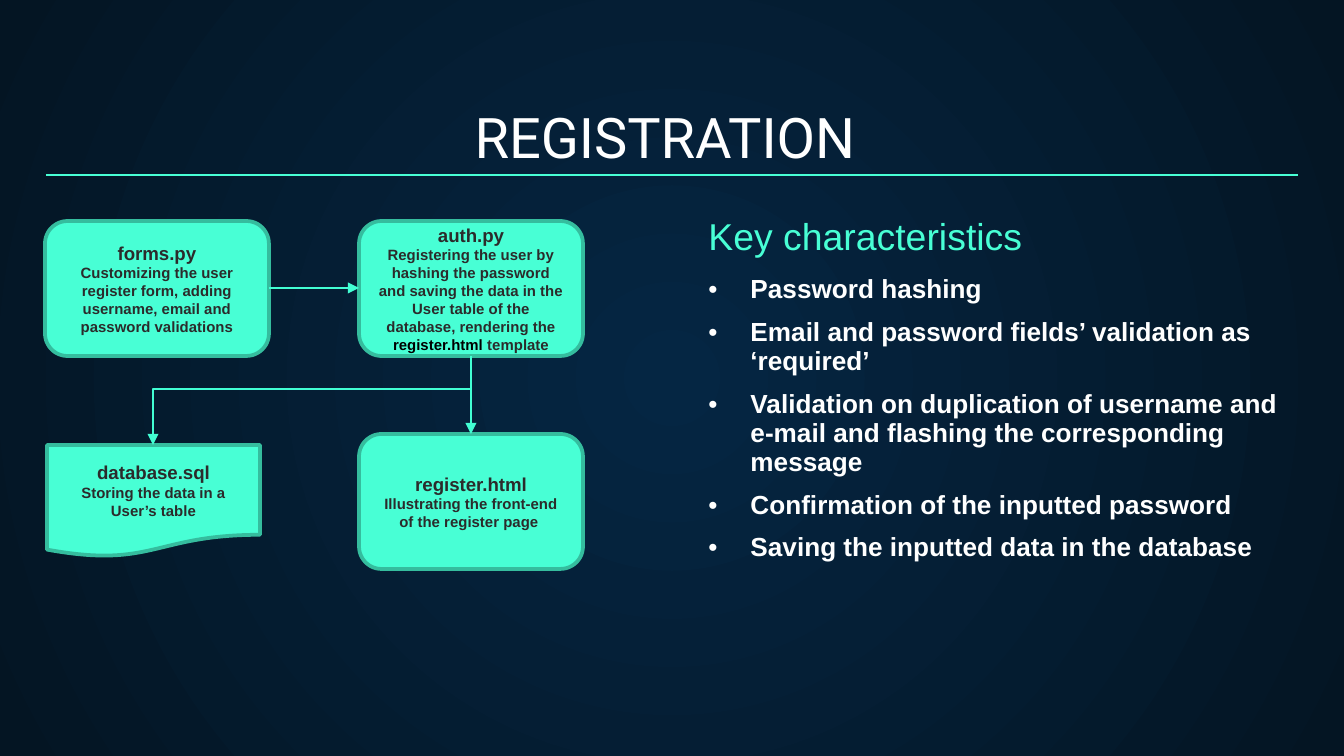
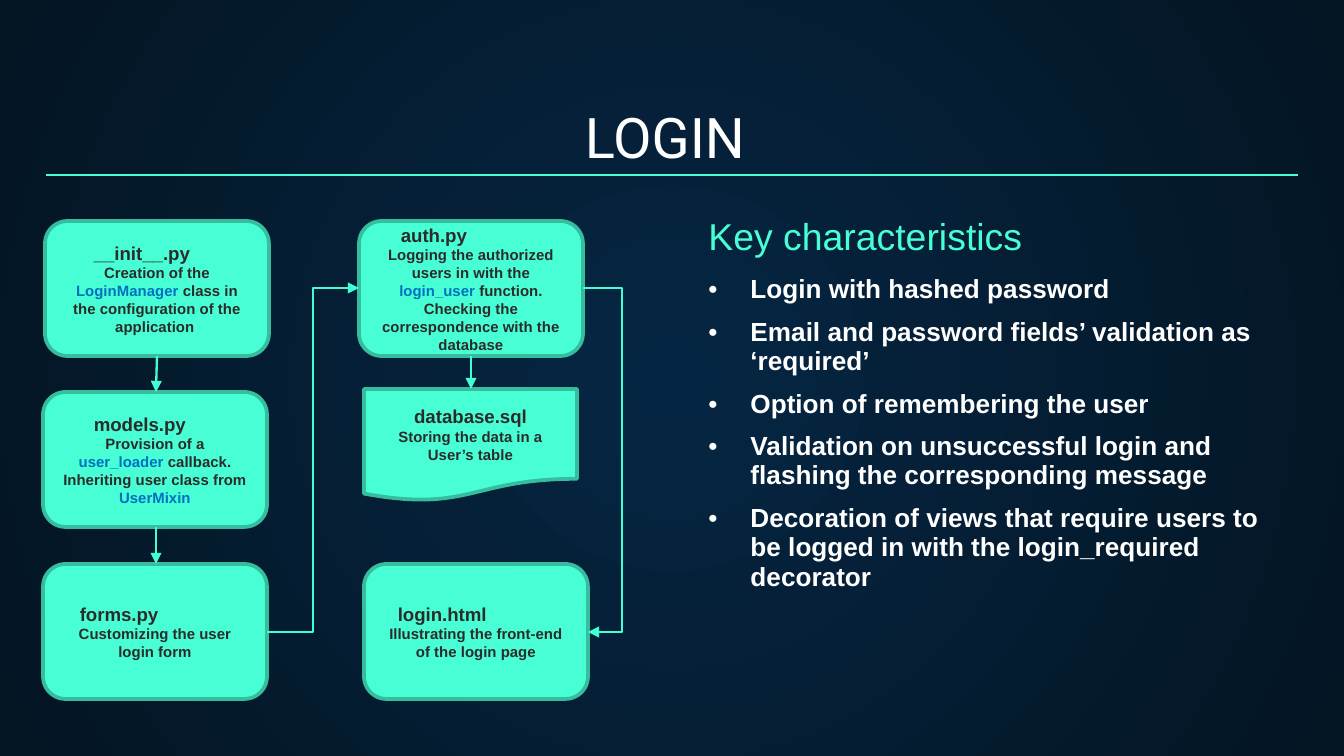
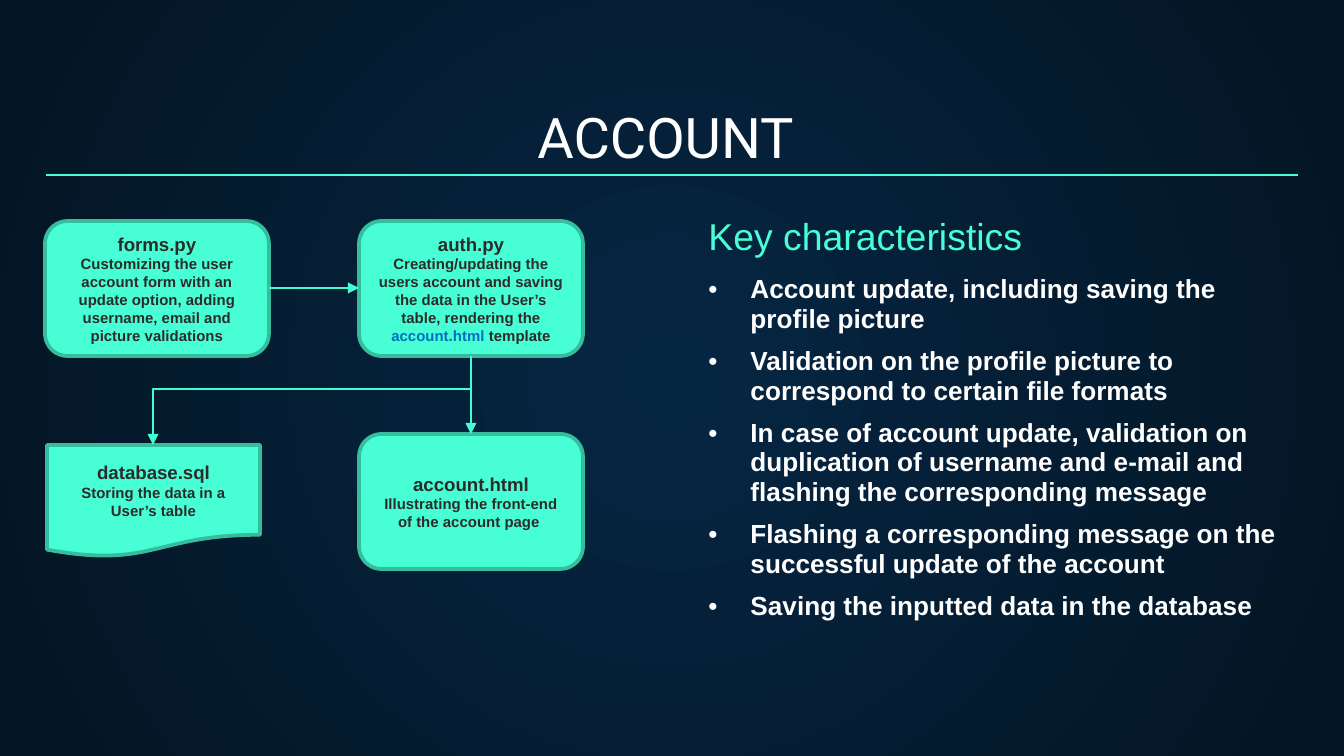
from lxml.etree import SubElement
from pptx import Presentation
from pptx.dml.color import RGBColor
from pptx.enum.shapes import MSO_CONNECTOR as LINK, MSO_SHAPE as SHAPE
from pptx.enum.text import MSO_ANCHOR as ANCHOR, PP_ALIGN as ALIGN
from pptx.oxml.ns import qn
from pptx.util import Pt

EMU_PER_PX = 914400 / 134.4

NAVY = RGBColor(0x05, 0x26, 0x43)
MIDNIGHT = RGBColor(0x04, 0x15, 0x23)
WHITE = RGBColor(0xFF, 0xFF, 0xFF)
BLACK = RGBColor(0, 0, 0)
INK = RGBColor(0x2B, 0x2B, 0x2B)
BLUE = RGBColor(0x00, 0x70, 0xC0)
MINT = RGBColor(0x48, 0xFF, 0xD5)
MINT_EDGE = RGBColor(0x35, 0xBD, 0x9E)
MINT_ARROW = RGBColor(0x42, 0xFE, 0xD3)

BODY_FONT = "Arial"
TITLE_FONT = "Roboto"

FILE_W, FILE_H = 224, 135
DATABASE_W, DATABASE_H = 213, 112
LEFT_X, RIGHT_X = 45, 359
TOP_Y = 221
TOP_MID = 288
TOP_END = TOP_Y + FILE_H
RIGHT_MID = 471


def px(length):
    return round(length * EMU_PER_PX)


def add_run(paragraph, text, size, color, font=BODY_FONT, bold=False):
    run = paragraph.add_run()
    run.text = text
    run.font.name = font
    run.font.size = Pt(size)
    run.font.bold = bold
    run.font.color.rgb = color


def paint_background(slide):
    """Radial gradient, lighter in the middle."""
    fill = slide.background.fill
    fill.gradient()
    for stop, color, position in zip(fill.gradient_stops, (NAVY, MIDNIGHT), (0, 1)):
        stop.color.rgb = color
        stop.position = position
    gradient = slide.background._cSld.find(".//" + qn("a:gradFill"))
    gradient.remove(gradient.find(qn("a:lin")))
    circle = SubElement(gradient, qn("a:path"), path="circle")
    SubElement(circle, qn("a:fillToRect"), l="50000", t="50000", r="50000", b="50000")


def style_link(link, color, width, arrow):
    link.line.color.rgb = color
    link.line.width = Pt(width)
    if arrow:
        SubElement(link.line._get_or_add_ln(), qn("a:tailEnd"), type="triangle")
    SubElement(link._element.spPr, qn("a:effectLst"))


def add_line(slide, start, end, color=MINT_ARROW, width=1.25, arrow=True):
    link = slide.shapes.add_connector(LINK.STRAIGHT, *map(px, start + end))
    style_link(link, color, width, arrow)


def add_elbow(slide, start, end, bend, downward=False):
    """Arrow turning at x = bend or, when it runs down to the left, at y = bend."""
    (x1, y1), (x2, y2) = start, end
    ratio = (bend - x1) / (x2 - x1)
    if downward:
        ratio = (bend - y1) / (y2 - y1)
        mid_x, mid_y = (x1 + x2) / 2, (y1 + y2) / 2
        half_w, half_h = (y2 - y1) / 2, (x1 - x2) / 2
        x1, x2 = mid_x - half_w, mid_x + half_w
        y1, y2 = mid_y - half_h, mid_y + half_h
    link = slide.shapes.add_connector(LINK.ELBOW, px(x1), px(y1), px(x2), px(y2))
    properties = link._element.spPr
    if downward:
        properties.find(qn("a:xfrm")).set("rot", "5400000")
    adjustments = properties.find(qn("a:prstGeom")).find(qn("a:avLst"))
    SubElement(adjustments, qn("a:gd"), name="adj1", fmla=f"val {round(ratio * 100000)}")
    style_link(link, MINT_ARROW, 1.25, True)


def add_node(slide, outline, frame, file_name, description, name_indent=None):
    """Mint node; description is a list of (text, colour) runs."""
    node = slide.shapes.add_shape(outline, *map(px, frame))
    node.shadow.inherit = False
    node.fill.solid()
    node.fill.fore_color.rgb = MINT
    node.line.color.rgb = MINT_EDGE
    node.line.width = Pt(2)
    text = node.text_frame
    text.word_wrap = True
    text.vertical_anchor = ANCHOR.MIDDLE
    heading = text.paragraphs[0]
    heading.alignment = ALIGN.CENTER
    if name_indent is not None:
        heading.alignment = ALIGN.LEFT
        heading._p.get_or_add_pPr().set("marL", str(px(name_indent)))
    add_run(heading, file_name, 10, INK, bold=True)
    details = text.add_paragraph()
    details.alignment = ALIGN.CENTER
    for words, color in description:
        add_run(details, words, 8, color, bold=True)


def add_file(slide, x, y, file_name, *description, name_indent=None):
    add_node(slide, SHAPE.ROUNDED_RECTANGLE, (x, y, FILE_W, FILE_H),
             file_name, description, name_indent)


def add_database(slide, x, y):
    add_node(slide, SHAPE.FLOWCHART_DOCUMENT, (x, y, DATABASE_W, DATABASE_H),
             "database.sql", [("Storing the data in a User’s table", INK)])


def add_title(slide, title):
    box = slide.shapes.add_textbox(px(46), px(94), px(1252), px(89))
    text = box.text_frame
    text.word_wrap = True
    text.vertical_anchor = ANCHOR.BOTTOM
    text.margin_top = text.margin_bottom = px(13)
    text.paragraphs[0].alignment = ALIGN.CENTER
    add_run(text.paragraphs[0], title, 30, WHITE, TITLE_FONT)
    add_line(slide, (46, 175), (1298, 175), MINT, 0.75, arrow=False)


def add_bullet(paragraph, words):
    paragraph.space_after = Pt(7)
    properties = paragraph._p.get_or_add_pPr()
    properties.set("marL", str(px(42)))
    properties.set("indent", str(px(-42)))
    bullet_color = SubElement(properties, qn("a:buClr"))
    SubElement(bullet_color, qn("a:srgbClr"), val=str(WHITE))
    SubElement(properties, qn("a:buFont"), typeface=BODY_FONT)
    SubElement(properties, qn("a:buChar"), char="•")
    add_run(paragraph, words, 14, WHITE, bold=True)


def add_characteristics(slide, points):
    table = slide.shapes.add_table(1, 1, px(695), px(210), px(605), px(188)).table
    table.first_row = table.horz_banding = False
    cell = table.cell(0, 0)
    for edge in ("a:lnL", "a:lnR", "a:lnT", "a:lnB"):
        border = SubElement(cell._tc.get_or_add_tcPr(), qn(edge))
        SubElement(border, qn("a:noFill"))
    cell.fill.background()
    heading = cell.text_frame.paragraphs[0]
    heading.space_after = Pt(9)
    add_run(heading, "Key characteristics", 20, MINT)
    for point in points:
        add_bullet(cell.text_frame.add_paragraph(), point)


def new_slide(deck, title, points):
    slide = deck.slides.add_slide(deck.slide_layouts[6])
    paint_background(slide)
    add_title(slide, title)
    add_characteristics(slide, points)
    return slide


def add_form_flow(slide, form_text, auth_text, page, page_color, page_text):
    """forms.py to auth.py, which feeds the database and one page."""
    page_y, database_y = 434, 445
    add_file(slide, LEFT_X, TOP_Y, "forms.py", (form_text, INK))
    add_file(slide, RIGHT_X, TOP_Y, "auth.py",
             (auth_text, INK), (page, page_color), (" template", INK))
    add_database(slide, 47, database_y)
    add_file(slide, RIGHT_X, page_y, page, (page_text, INK))
    add_line(slide, (LEFT_X + FILE_W, TOP_MID), (RIGHT_X, TOP_MID))
    add_elbow(slide, (RIGHT_MID, TOP_END), (153, database_y), bend=389, downward=True)
    add_line(slide, (RIGHT_MID, TOP_END), (RIGHT_MID, page_y))


def add_login_flow(slide):
    models_y, form_y, database_y = 392, 564, 389
    left_x, page_x = 43, 364
    left_mid, bottom_mid = 156, 632
    add_file(slide, LEFT_X, TOP_Y, "__init__.py",
             ("Creation of the ", INK), ("LoginManager", BLUE),
             (" class in the configuration of the application ", INK), name_indent=29)
    add_file(slide, left_x, models_y, "models.py",
             ("Provision of a ", INK), ("user_loader ", BLUE),
             ("callback. Inheriting user class from ", INK), ("UserMixin", BLUE),
             name_indent=31)
    add_file(slide, left_x, form_y, "forms.py",
             ("Customizing the user login form", INK), name_indent=17)
    add_file(slide, RIGHT_X, TOP_Y, "auth.py",
             ("Logging the authorized users in with the ", INK), ("login_user ", BLUE),
             ("function. Checking the correspondence with the database", INK),
             name_indent=22)
    add_database(slide, page_x, database_y)
    add_file(slide, page_x, form_y, "login.html",
             ("Illustrating the front-end of the login page", INK), name_indent=14)
    add_line(slide, (left_mid + 1, TOP_END), (left_mid, models_y))
    add_line(slide, (left_mid, models_y + FILE_H), (left_mid, form_y))
    add_line(slide, (RIGHT_MID, TOP_END), (RIGHT_MID, database_y))
    add_elbow(slide, (left_x + FILE_W, bottom_mid), (RIGHT_X, TOP_MID), bend=313)
    add_elbow(slide, (RIGHT_X + FILE_W, TOP_MID), (page_x + FILE_W, bottom_mid), bend=622)


def main():
    deck = Presentation()
    deck.slide_width, deck.slide_height = px(1344), px(756)

    registration = new_slide(deck, "REGISTRATION ", [
        "Password hashing",
        "Email and password fields’ validation as ‘required’",
        "Validation on duplication of username and e-mail and flashing the "
        "corresponding message",
        "Confirmation of the inputted password",
        "Saving the inputted data in the database",
    ])
    add_form_flow(
        registration,
        "Customizing the user register form, adding username, email and password "
        "validations",
        "Registering the user by hashing the password and saving the data in the "
        "User table of the database, rendering the ",
        "register.html", BLACK, "Illustrating the front-end of the register page ")

    login = new_slide(deck, "LOGIN ", [
        "Login with hashed password",
        "Email and password fields’ validation as ‘required’",
        "Option of remembering the user",
        "Validation on unsuccessful login and flashing the corresponding message",
        "Decoration of views that require users to be logged in with the "
        "login_required decorator",
    ])
    add_login_flow(login)

    account = new_slide(deck, "ACCOUNT ", [
        "Account update, including saving the profile picture",
        "Validation on the profile picture to correspond to certain file formats",
        "In case of account update, validation on duplication of username and "
        "e-mail and flashing the corresponding message",
        "Flashing a corresponding message on the successful update of the account",
        "Saving the inputted data in the database",
    ])
    add_form_flow(
        account,
        "Customizing the user account form with an update option, adding username, "
        "email and picture validations",
        "Creating/updating the users account and saving the data in the User’s "
        "table, rendering the ",
        "account.html", BLUE, "Illustrating the front-end of the account page ")

    deck.save("out.pptx")


if __name__ == "__main__":
    main()
